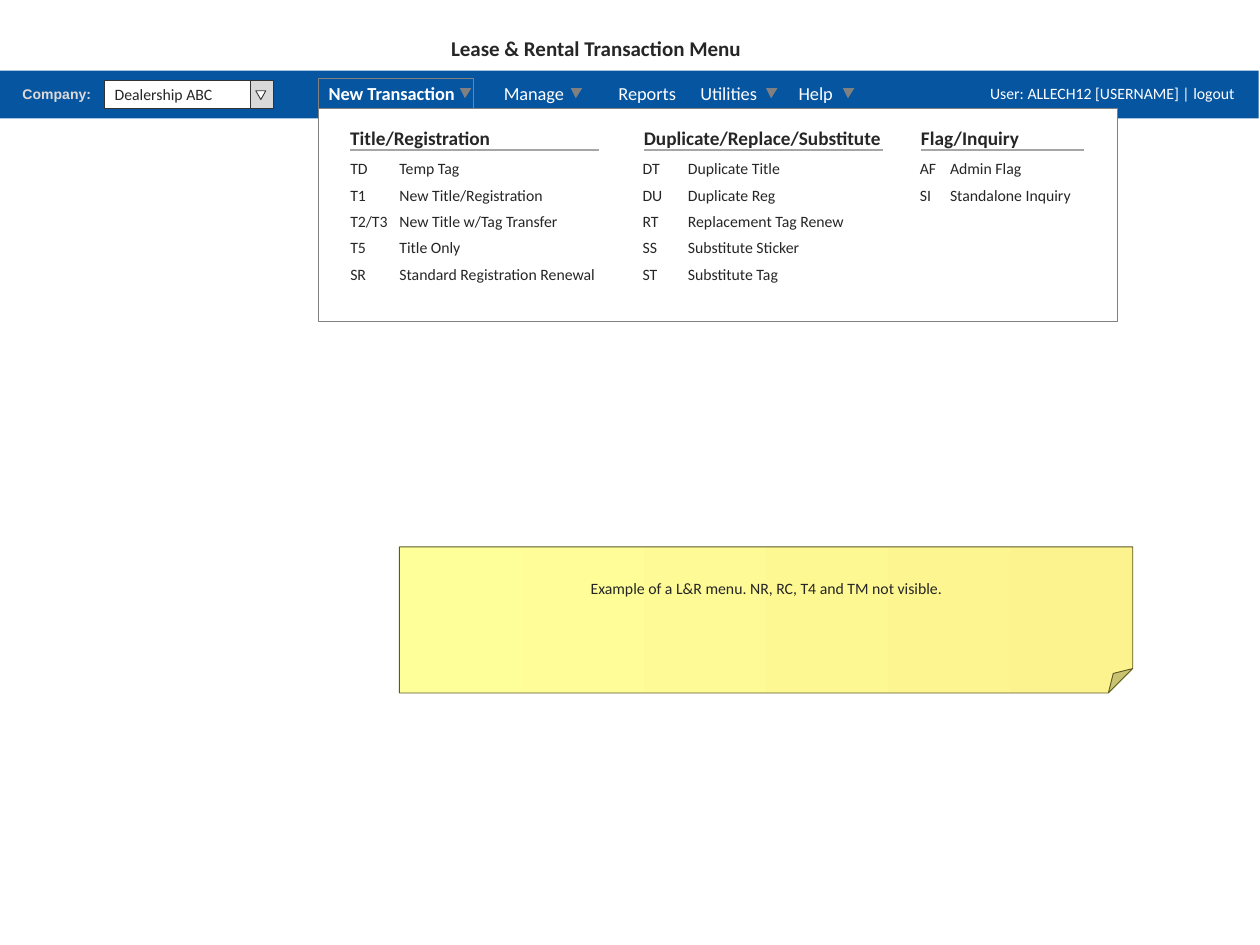
from dataclasses import dataclass
from typing import NamedTuple

from lxml.etree import SubElement
from pptx import Presentation
from pptx.dml.color import RGBColor
from pptx.enum.shapes import MSO_CONNECTOR, MSO_SHAPE
from pptx.enum.text import MSO_ANCHOR, MSO_AUTO_SIZE, PP_ALIGN
from pptx.oxml.ns import qn
from pptx.util import Pt

PX = 9144


@dataclass(frozen=True)
class Theme:
    font: str = "Calibri"
    label_font: str = "Arial"
    white: str = "FFFFFF"
    bar: str = "0655A1"
    company: str = "DFD9D9"
    ink: str = "262626"
    control: str = "333333"
    button: str = "D9D9D9"
    grey: str = "808080"
    rule: str = "A6A6A6"
    note_start: str = "FFFF99"
    note_end: str = "FCF38E"
    note_line: str = "5B5A23"
    label_size: float = 8
    body_size: float = 9
    nav_size: float = 10.5
    heading_size: float = 11
    title_size: float = 12


T = Theme()
TIGHT = (8, 4, 8, 4)
NORMAL = (10, 5, 10, 5)


class Box(NamedTuple):
    x: int
    y: int
    w: int
    h: int


class Item(NamedTuple):
    code: str
    label: str
    label_w: int
    code_w: int = 32


@dataclass(frozen=True)
class Column:
    heading: str
    heading_w: int
    x: int
    label_x: int
    rule_x: int
    rule_end: int
    items: tuple[Item, ...]


COLUMNS = (
    Column("Title/Registration", 130, 270, 309, 278, 475, (
        Item("TD", "Temp Tag", 68),
        Item("T1", "New Title/Registration", 134),
        Item("T2/T3", "New Title w/Tag Transfer", 147, 48),
        Item("T5", "Title Only", 67),
        Item("SR", "Standard Registration Renewal", 176),
    )),
    Column("Duplicate/Replace/Substitute", 208, 502, 538, 511, 701, (
        Item("DT", "Duplicate Title", 92),
        Item("DU", "Duplicate Reg", 89, 34),
        Item("RT", "Replacement Tag Renew", 144),
        Item("SS", "Substitute Sticker", 108),
        Item("ST", "Substitute Tag", 91),
    )),
    Column("Flag/Inquiry", 100, 722, 746, 731, 860, (
        Item("AF", "Admin Flag", 75),
        Item("SI", "Standalone Inquiry", 115),
    )),
)
NAV_ITEMS = ("New Transaction", "Manage", "Reports", "Utilities", "Help")
NAV_TABS = (139, 230, 295, 373)
ARROW_XS = (365, 453, 608, 669)


def rgb(value: str) -> RGBColor:
    return RGBColor.from_string(value)


def apply(target, values: dict) -> None:
    for name, value in values.items():
        setattr(target, name, value)


def emu(box: Box) -> list[int]:
    return [v * PX for v in box]


def style_run(r, size: float, color: str, bold: bool = False, font: str = T.font) -> None:
    apply(r.font, {"name": font, "size": Pt(size), "bold": bold})
    r.font.color.rgb = rgb(color)


def set_frame(tf, insets: tuple, wrap: bool, anchor=MSO_ANCHOR.TOP, grow: bool = False) -> None:
    left, top, right, bottom = (v * PX for v in insets)
    apply(tf, {
        "margin_left": left, "margin_top": top, "margin_right": right, "margin_bottom": bottom,
        "word_wrap": wrap, "vertical_anchor": anchor,
        "auto_size": MSO_AUTO_SIZE.SHAPE_TO_FIT_TEXT if grow else MSO_AUTO_SIZE.NONE,
    })


def add_text(shapes, box: Box, text: str, size: float, color: str, bold: bool = False,
             font: str = T.font, insets: tuple = TIGHT, wrap: bool = True,
             anchor=MSO_ANCHOR.TOP, grow: bool = True) -> None:
    tf = shapes.add_textbox(*emu(box)).text_frame
    set_frame(tf, insets, wrap, anchor, grow)
    r = tf.paragraphs[0].add_run()
    r.text = text
    style_run(r, size, color, bold, font)


def add_box(shapes, box: Box, fill: str | None, line: str | None = None, kind=MSO_SHAPE.RECTANGLE):
    sp = shapes.add_shape(kind, *emu(box))
    sp.shadow.inherit = False
    if fill:
        sp.fill.solid()
        sp.fill.fore_color.rgb = rgb(fill)
    else:
        sp.fill.background()
    if line:
        sp.line.color.rgb = rgb(line)
        sp.line.width = Pt(0.5)
    else:
        sp.line.fill.background()
    return sp


def fill_text(sp, text: str, insets: tuple, align) -> None:
    set_frame(sp.text_frame, insets, True, MSO_ANCHOR.MIDDLE)
    p = sp.text_frame.paragraphs[0]
    p.alignment = align
    r = p.add_run()
    r.text = text
    style_run(r, T.body_size, T.ink)


def add_nav(shapes) -> None:
    tf = shapes.add_textbox(*emu(Box(251, 60, 541, 28))).text_frame
    set_frame(tf, NORMAL, True, MSO_ANCHOR.MIDDLE)
    p = tf.paragraphs[0]
    tabs = SubElement(p._p.get_or_add_pPr(), qn("a:tabLst"))
    for pos in NAV_TABS:
        SubElement(tabs, qn("a:tab"), pos=str(pos * PX), algn="l")
    for i, name in enumerate(NAV_ITEMS):
        r = p.add_run()
        r.text = f"\t{name}" if i else name
        style_run(r, T.nav_size, T.white, bold=i == 0)


def add_arrow(shapes, x: int) -> None:
    fb = shapes.build_freeform(x, 70, scale=PX)
    fb.add_line_segments([(x + 9, 70), (x + 4, 78)], close=True)
    sp = fb.convert_to_shape()
    sp.shadow.inherit = False
    sp.fill.solid()
    sp.fill.fore_color.rgb = rgb(T.grey)
    sp.line.fill.background()


def add_column(shapes, col: Column) -> None:
    group = shapes.add_group_shape().shapes
    add_text(group, Box(col.rule_x - 8, 96, col.heading_w, 26), col.heading, T.heading_size, T.ink,
             bold=True)
    rule = group.add_connector(MSO_CONNECTOR.STRAIGHT, *emu(Box(col.rule_x, 119, col.rule_end, 119)))
    rule.line.color.rgb = rgb(T.rule)
    rule.line.width = Pt(0.75)
    SubElement(rule._element.spPr, qn("a:effectLst"))
    for i, item in enumerate(col.items):
        y = 122 + 21 * i
        add_text(group, Box(col.x, y, item.code_w, 22), item.code, T.body_size, T.ink)
        add_text(group, Box(col.label_x, y, item.label_w, 22), item.label, T.body_size, T.ink)


def add_note(shapes) -> None:
    sp = add_box(shapes, Box(317, 434, 582, 116), T.note_start, T.note_line, MSO_SHAPE.FOLDED_CORNER)
    sp.fill.gradient()
    sp.fill.gradient_angle = 0
    for stop, color, pos in zip(sp.fill.gradient_stops, (T.note_start, T.note_end), (0, 1)):
        stop.color.rgb = rgb(color)
        stop.position = pos
    fill_text(sp, "Example of a L&R menu. NR, RC, T4 and TM not visible.", (10, 5, 10, 36), PP_ALIGN.CENTER)


def main() -> None:
    prs = Presentation()
    apply(prs, {"slide_width": 1000 * PX, "slide_height": 750 * PX})
    s = prs.slides.add_slide(prs.slide_layouts[6]).shapes
    add_box(s, Box(-1, 56, 1000, 38), T.bar)
    add_text(s, Box(8, 63, 82, 24), "Company:", T.label_size, T.company, bold=True,
             font=T.label_font, insets=NORMAL)
    add_nav(s)
    for x in ARROW_XS:
        add_arrow(s, x)
    company = add_box(s, Box(83, 64, 128, 22), T.white, T.control)
    fill_text(company, "Dealership ABC", (8, 4, 18, 4), PP_ALIGN.LEFT)
    add_box(s, Box(199, 64, 18, 22), T.button, T.control)
    add_box(s, Box(203, 72, 8, 7), T.white, T.control, MSO_SHAPE.ISOSCELES_TRIANGLE).rotation = 180
    add_text(s, Box(776, 60, 222, 28), "User: ALLECH12 [USERNAME] | logout", T.body_size, T.white,
             insets=NORMAL, anchor=MSO_ANCHOR.MIDDLE, grow=False)
    menu = s.add_group_shape().shapes
    add_box(menu, Box(253, 86, 634, 169), T.white, T.grey)
    add_box(menu, Box(253, 62, 123, 24), None, T.grey)
    add_text(s, Box(350, 24, 249, 27), "Lease & Rental Transaction Menu", T.title_size, T.ink,
             bold=True, wrap=False)
    for col in COLUMNS:
        add_column(s, col)
    add_note(s)
    prs.save("out.pptx")


if __name__ == "__main__":
    main()
